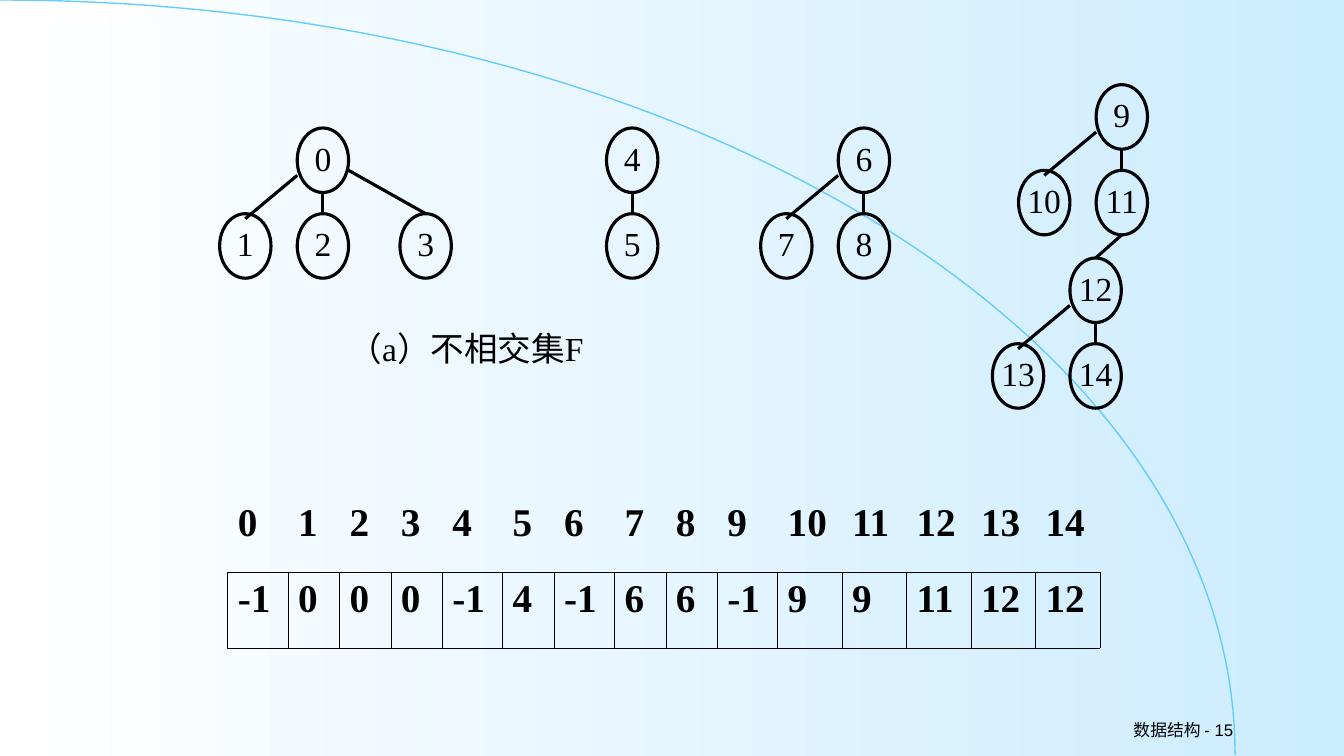
from dataclasses import dataclass
from lxml.etree import SubElement as Sub
from pptx import Presentation
from pptx.dml.color import RGBColor as Rgb
from pptx.enum.shapes import MSO_CONNECTOR as Link, MSO_SHAPE as Shape
from pptx.enum.text import MSO_ANCHOR as Anchor, PP_ALIGN as Align
from pptx.oxml.ns import qn
from pptx.util import Inches, Pt


@dataclass(frozen=True)
class Theme:
    ink: Rgb = Rgb(0, 0, 0)
    pale: Rgb = Rgb(255, 255, 255)
    sky: Rgb = Rgb(0xCC, 0xEC, 0xFF)
    curve: Rgb = Rgb(0x66, 0xCC, 0xFF)
    serif: str = "Times New Roman"
    sans: str = "Arial"
    node: int = 24
    cell: int = 28
    foot: int = 12
    stroke: float = 2.25
    thin: float = 1
    rule: float = 0.45


THEME = Theme()
WIDE, TALL = 0.51, 0.64
PARENTS = [-1, 0, 0, 0, -1, 4, -1, 6, 6, -1, 9, 9, 11, 12, 12]
PLACES = [
    (2.95, 1.27), (2.18, 2.12), (2.95, 2.12), (3.97, 2.12),
    (6.02, 1.27), (6.02, 2.12),
    (8.32, 1.27), (7.55, 2.12), (8.32, 2.12),
    (10.88, 0.84), (10.11, 1.69), (10.88, 1.69),
    (10.62, 2.56), (9.85, 3.41), (10.62, 3.41),
]


def apply(item, **values):
    for name, value in values.items():
        setattr(item, name, value)


def write(frame, text, size, face=THEME.serif, align=Align.LEFT,
          bold=False, pad=(0.1, 0.05), anchor=Anchor.TOP):
    across, down = map(Inches, pad)
    apply(frame, word_wrap=True, vertical_anchor=anchor,
          margin_left=across, margin_right=across,
          margin_top=down, margin_bottom=down)
    para = frame.paragraphs[0]
    para.alignment = align
    run = para.add_run()
    run.text = text
    apply(run.font, size=Pt(size), name=face, bold=bold)
    run.font.color.rgb = THEME.ink


def ink(line, width, color=THEME.ink):
    line.color.rgb = color
    line.width = Pt(width)


def backdrop(slide):
    fill = slide.background.fill
    fill.gradient()
    fill.gradient_angle = 0
    for stop, color in zip(fill.gradient_stops, (THEME.pale, THEME.sky)):
        stop.color.rgb = color


def swoop(slide, steps=80):
    points = []
    for step in range(1, steps + 1):
        t = step / steps
        u = 1 - t
        x = 3 * u * u * t * 6.77 + (3 * u * t * t + t ** 3) * 12.26
        y = 3 * u * t * t * 3.35 + t ** 3 * 7.49
        points.append((Inches(x), Inches(y)))
    path = slide.shapes.build_freeform(0, 0)
    path.add_line_segments(points, close=False)
    arc = path.convert_to_shape()
    arc.shadow.inherit = False
    arc.fill.background()
    ink(arc.line, THEME.thin, THEME.curve)


def label(slide, box, text, size, **look):
    frame = slide.shapes.add_textbox(*map(Inches, box)).text_frame
    write(frame, text, size, **look)


def node(slide, key, left, top):
    oval = slide.shapes.add_shape(
        Shape.OVAL, *map(Inches, (left, top, WIDE, TALL)))
    oval.shadow.inherit = False
    oval.fill.background()
    ink(oval.line, THEME.stroke)
    write(oval.text_frame, str(key), THEME.node, align=Align.CENTER, pad=(0, 0))
    oval.text_frame.word_wrap = False


def edge(slide, upper, lower):
    (px, py), (cx, cy) = upper, lower
    shift = cx - px
    start = px + WIDE / 2, py + TALL
    end = cx + WIDE / 2, cy
    if shift < -0.5:
        start = px, py + 0.47
        end = cx + WIDE / 2, cy + 0.05
    elif shift > 0.5:
        start = px + WIDE, py + 0.42
    line = slide.shapes.add_connector(
        Link.STRAIGHT, *map(Inches, start + end))
    ink(line.line, THEME.stroke)
    Sub(line._element.spPr, qn("a:effectLst"))


def border(cell, drawn):
    props = cell._tc.get_or_add_tcPr()
    for side in "LRTB":
        line = Sub(props, qn(f"a:ln{side}"), w=str(Pt(THEME.rule)))
        if side in drawn:
            paint = Sub(line, qn("a:solidFill"))
            Sub(paint, qn("a:srgbClr"), val=str(THEME.ink))
        else:
            Sub(line, qn("a:noFill"))


def span(key, parent):
    if key > 9:
        return 0.64
    return 0.6 if parent < 0 else 0.51


def array(slide):
    widths = [span(key, parent) for key, parent in enumerate(PARENTS)]
    box = map(Inches, (2.26, 4.93, sum(widths), 1.5))
    table = slide.shapes.add_table(2, len(PARENTS), *box).table
    apply(table, first_row=False, horz_banding=False)
    for column, width in zip(table.columns, widths):
        column.width = Inches(width)
    rows = (range(len(PARENTS)), "B"), (PARENTS, "LRTB")
    for row, (values, drawn) in enumerate(rows):
        for col, value in enumerate(values):
            cell = table.cell(row, col)
            border(cell, drawn)
            cell.fill.background()
            write(cell.text_frame, str(value), THEME.cell, bold=True)


def main():
    deck = Presentation()
    apply(deck, slide_width=Inches(13.34), slide_height=Inches(7.5))
    slide = deck.slides.add_slide(deck.slide_layouts[6])
    backdrop(slide)
    swoop(slide)
    label(slide, (9.56, 7.08, 2.78, 0.33), "数据结构 - 15", THEME.foot,
          face=THEME.sans, align=Align.RIGHT, anchor=Anchor.MIDDLE)
    for key, place in enumerate(PLACES):
        node(slide, key, *place)
    for key, parent in enumerate(PARENTS):
        if parent >= 0:
            edge(slide, PLACES[parent], PLACES[key])
    label(slide, (3.46, 3.2, 3.84, 0.86), "（a）不相交集F", THEME.node,
          align=Align.JUSTIFY, pad=(0, 0.05))
    array(slide)
    deck.save("out.pptx")


if __name__ == "__main__":
    main()
